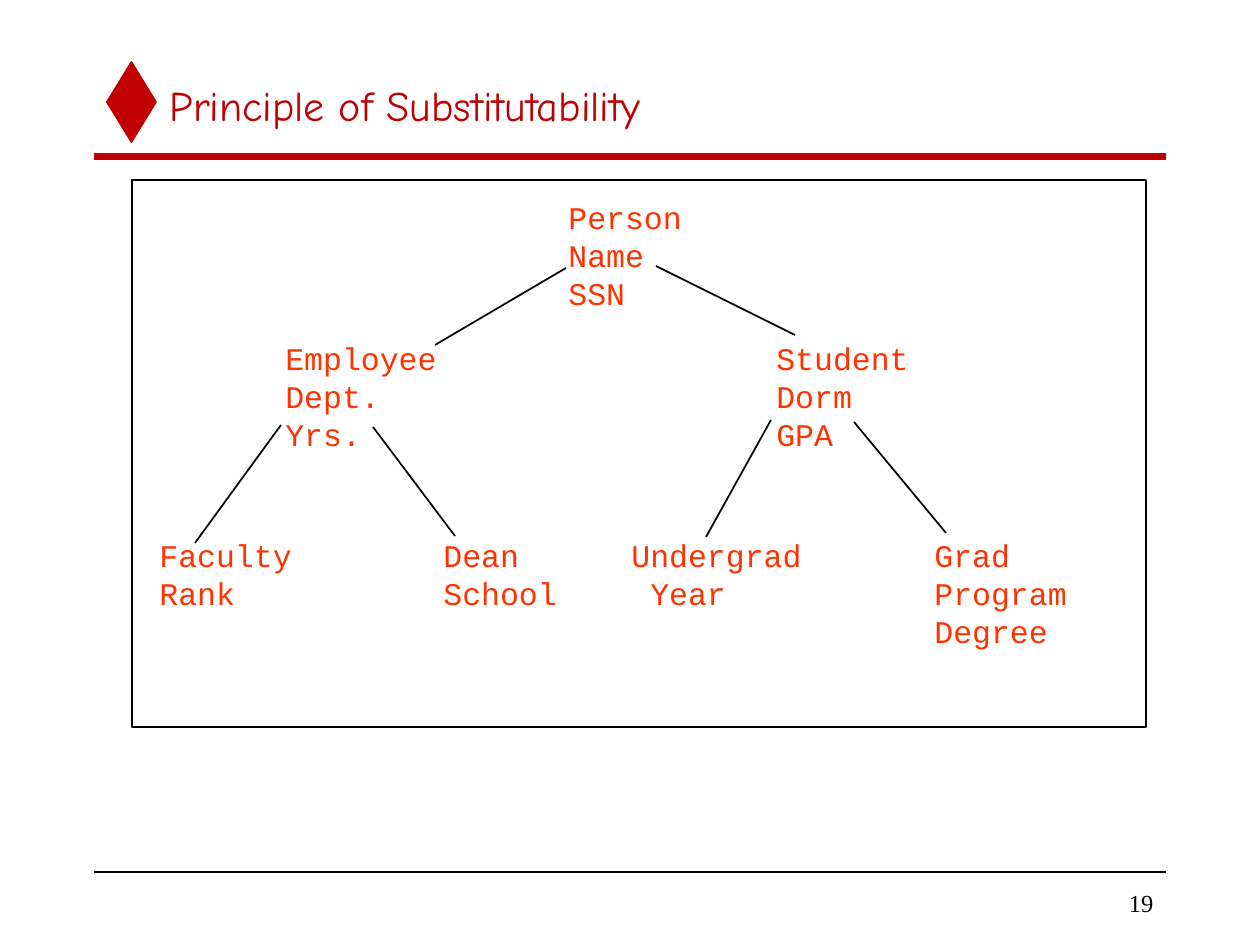
import dataclasses

import pptx
import pptx.dml.color
import pptx.enum.shapes
import pptx.enum.text
import pptx.oxml.ns
import pptx.util
from lxml import etree

PX = 914400 / 126
SHAPE = pptx.enum.shapes.MSO_SHAPE
ALIGN = pptx.enum.text.PP_ALIGN
ANCHOR = pptx.enum.text.MSO_ANCHOR
qn = pptx.oxml.ns.qn


@dataclasses.dataclass(frozen=True)
class Style:
    font: str
    size: int
    color: str


@dataclasses.dataclass(frozen=True)
class Theme:
    accent: str = "C00000"
    ink: str = "000000"
    paper: str = "FFFFFF"
    thin: int = 1
    thick: int = 4
    title: Style = Style("Comic Neue", 24, "C00000")
    node: Style = Style("Courier New", 18, "FF3300")
    number: Style = Style("Times New Roman", 14, "000000")


THEME = Theme()


def px(length):
    return pptx.util.Emu(round(length * PX))


def rgb(color):
    return pptx.dml.color.RGBColor.from_string(color)


def write(frame, text, style, align=ALIGN.LEFT, anchor=ANCHOR.TOP, stops=()):
    frame.text = text
    frame.word_wrap = True
    frame.auto_size = pptx.enum.text.MSO_AUTO_SIZE.NONE
    frame.vertical_anchor = anchor
    for paragraph in frame.paragraphs:
        paragraph.alignment = align
        if stops:
            tabs = etree.SubElement(paragraph._p.get_or_add_pPr(), qn("a:tabLst"))
            for stop in stops:
                etree.SubElement(tabs, qn("a:tab"), pos=str(px(stop)), algn="l")
        for run in paragraph.runs:
            run.font.name = style.font
            run.font.size = pptx.util.Pt(style.size)
            run.font.color.rgb = rgb(style.color)


def add_line(slide, start, end, color=THEME.ink, weight=THEME.thin):
    line = slide.shapes.add_connector(
        pptx.enum.shapes.MSO_CONNECTOR.STRAIGHT, *map(px, (*start, *end)))
    line.line.color.rgb = rgb(color)
    line.line.width = pptx.util.Pt(weight)
    etree.SubElement(line._element.spPr, qn("a:effectLst"))


def add_block(slide, kind, box, fill, outline):
    block = slide.shapes.add_shape(kind, *map(px, box))
    block.shadow.inherit = False
    block.fill.solid()
    block.fill.fore_color.rgb = rgb(fill)
    block.line.color.rgb = rgb(outline)
    block.line.width = pptx.util.Pt(THEME.thin)


def build_header(slide, box, heading):
    left, top, width, height = box
    add_block(slide, SHAPE.DIAMOND, (left + 13, top, 49, 80), THEME.accent, THEME.accent)
    add_line(slide, (left, top + height), (left + width, top + height),
             THEME.accent, THEME.thick)
    title = slide.shapes.title
    title.left, title.top, title.width, title.height = map(
        px, (left + 63, top + 1, width - 63, 84))
    write(title.text_frame, heading, THEME.title, anchor=ANCHOR.MIDDLE)


def build_hierarchy(slide, box, levels, branches):
    left, top, width, height = box
    add_block(slide, SHAPE.RECTANGLE, box, THEME.paper, THEME.ink)
    for (x, y, level_width), stops, text in levels:
        level = slide.shapes.add_textbox(*map(px, (left + x, top + y, level_width, 126)))
        write(level.text_frame, text, THEME.node, stops=stops)
    for x1, y1, x2, y2 in branches:
        add_line(slide, (left + x1, top + y1), (left + x2, top + y2))


def build_footer(slide, box, number):
    left, top, width, height = box
    add_line(slide, (left, top), (left + width, top))
    page = slide.shapes.add_textbox(*map(px, (left + width - 179, top + 10, 179, height - 10)))
    write(page.text_frame, number, THEME.number, ALIGN.RIGHT, ANCHOR.MIDDLE)


LEVELS = [
    ((424, 12, 145), (), "Person\nName\nSSN"),
    ((141, 153, 655), (491,), "Employee\tStudent\nDept.\tDorm\nYrs.\tGPA"),
    ((15, 350, 940), (284, 472, 775),
     "Faculty\tDean\tUndergrad\tGrad\nRank\tSchool\t Year\tProgram\n\t\t\tDegree"),
]
BRANCHES = [
    (434, 88, 303, 165),
    (524, 86, 663, 155),
    (149, 245, 63, 363),
    (241, 247, 323, 356),
    (639, 240, 574, 357),
    (722, 242, 814, 353),
]


def main():
    deck = pptx.Presentation()
    deck.slide_width, deck.slide_height = px(1260), px(945)
    slide = deck.slides.add_slide(deck.slide_layouts.get_by_name("Title Only"))
    build_header(slide, (94, 62, 1072, 95), "Principle of Substitutability")
    build_footer(slide, (94, 872, 1072, 52), "19")
    build_hierarchy(slide, (132, 180, 1014, 547), LEVELS, BRANCHES)
    deck.save("out.pptx")


if __name__ == "__main__":
    main()
